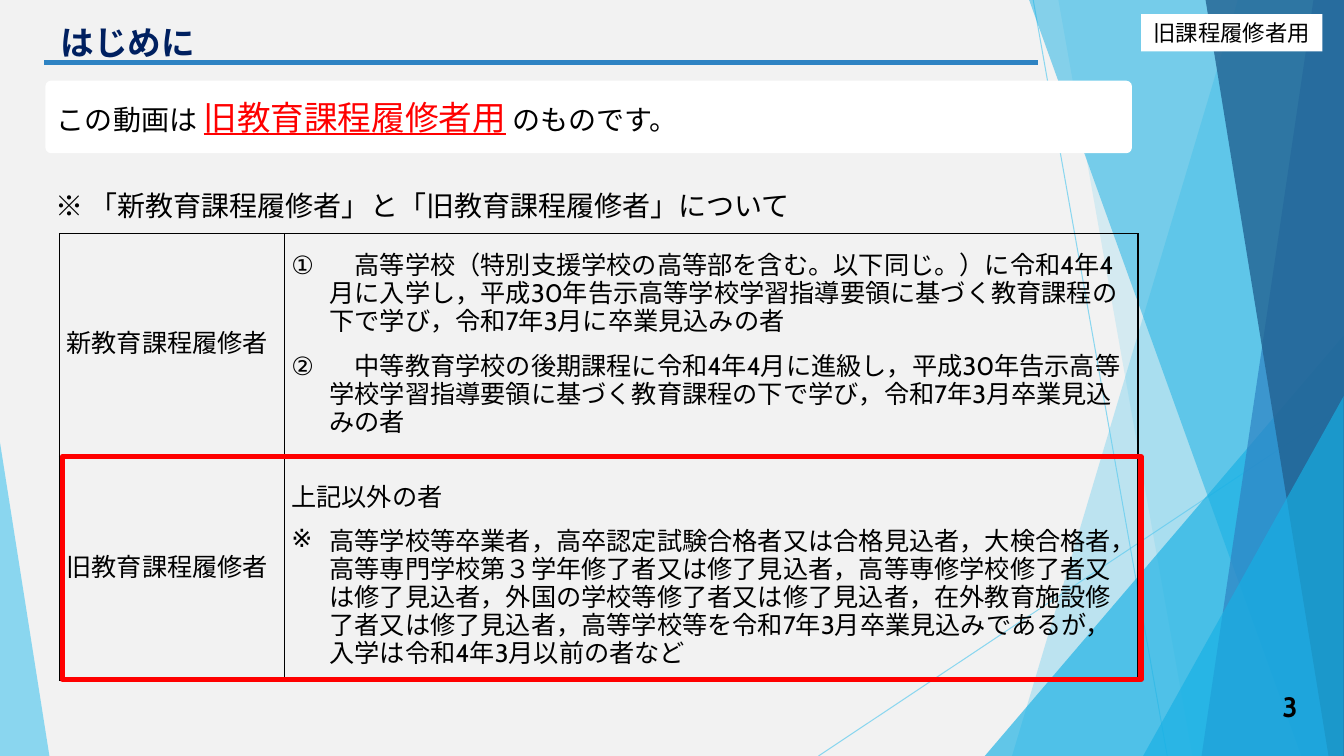
from lxml.etree import SubElement as Sub
from pptx import Presentation
from pptx.dml.color import RGBColor as RGB
from pptx.enum.lang import MSO_LANGUAGE_ID as Lang
from pptx.enum.shapes import MSO_CONNECTOR as Link, MSO_SHAPE as Kind
from pptx.enum.text import MSO_ANCHOR as Anchor, PP_ALIGN as Align
from pptx.oxml.ns import qn
from pptx.util import Inches, Pt

BLACK = RGB(0x00, 0x00, 0x00)
WHITE = RGB(0xFF, 0xFF, 0xFF)
RED = RGB(0xFF, 0x00, 0x00)
NAVY = RGB(0x00, 0x20, 0x60)
PALE = RGB(0xF2, 0xF2, 0xF2)
SKY = RGB(0x5F, 0xCB, 0xEF)
CYAN = RGB(0x17, 0xB0, 0xE4)
BLUE = RGB(0x2E, 0x83, 0xC3)
DEEP = RGB(0x22, 0x62, 0x92)

COLS, ROWS = 133.33, 75
FONT = "Cabin"

NEW = (
    "　高等学校（特別支援学校の高等部を含む。以下同じ。）に令和4年4月に入学し，"
    "平成30年告示高等学校学習指導要領に基づく教育課程の下で学び，令和7年3月に卒業見込みの者",
    "　中等教育学校の後期課程に令和4年4月に進級し，"
    "平成30年告示高等学校学習指導要領に基づく教育課程の下で学び，令和7年3月卒業見込みの者",
)
OLD = (
    "上記以外の者",
    "高等学校等卒業者，高卒認定試験合格者又は合格見込者，大検合格者，"
    "高等専門学校第３学年修了者又は修了見込者，高等専修学校修了者又は修了見込者，"
    "外国の学校等修了者又は修了見込者，在外教育施設修了者又は修了見込者，"
    "高等学校等を令和7年3月卒業見込みであるが，入学は令和4年3月以前の者など",
)


class Deck:
    """Draws on one slide, with lengths in columns and rows of a tenth of an inch."""

    def __init__(self):
        self.prs = Presentation()
        self.prs.slide_width = self.size(COLS)
        self.prs.slide_height = self.size(ROWS)
        self.slide = self.prs.slides.add_slide(self.prs.slide_layouts[5])
        self.shapes = self.slide.shapes
        fill = self.slide.background.fill
        fill.solid()
        fill.fore_color.rgb = PALE

    def size(self, cells):
        return Inches(cells / 10)

    def box(self, *cells):
        return [self.size(n) for n in cells]

    def fade(self, shape, share):
        tint = next(shape.element.iter(qn("a:srgbClr")))
        Sub(tint, qn("a:alpha"), val=str(share * 1000))

    def paint(self, shape, color, share=100):
        shape.shadow.inherit = False
        shape.line.fill.background()
        shape.fill.solid()
        shape.fill.fore_color.rgb = color
        if share < 100:
            self.fade(shape, share)
        return shape

    def style(self, run, size, color=BLACK, bold=False, under=False):
        font = run.font
        font.size, font.bold, font.underline = Pt(size), bold, under
        font.color.rgb = color
        font.name = FONT
        font.language_id = Lang.JAPANESE
        Sub(run._r.get_or_add_rPr(), qn("a:ea"), typeface=FONT)

    def put(self, frame, text, size, align=Align.LEFT, anchor=Anchor.MIDDLE, **look):
        frame.text = text
        frame.word_wrap = True
        frame.vertical_anchor = anchor
        for para in frame.paragraphs:
            para.alignment = align
            for run in para.runs:
                self.style(run, size, **look)

    def line(self, start, end, color, width, share=100):
        rule = self.shapes.add_connector(Link.STRAIGHT, *self.box(*start, *end))
        rule.line.color.rgb = color
        rule.line.width = Pt(width)
        Sub(rule.element.spPr, qn("a:effectLst"))
        if share < 100:
            self.fade(rule, share)

    def band(self, top, foot, color, share):
        pen = self.shapes.build_freeform(self.size(top), 0, 1.0)
        ends = (COLS, 0), (COLS, ROWS), (foot, ROWS)
        pen.add_line_segments([self.box(*end) for end in ends])
        self.paint(pen.convert_to_shape(), color, share)

    def wedge(self, left, top, wide, tip, color, share):
        cells = self.box(left, top, wide, ROWS - top)
        shape = self.shapes.add_shape(Kind.ISOSCELES_TRIANGLE, *cells)
        shape.adjustments[0] = tip
        self.paint(shape, color, share)

    def panel(self, kind, *cells):
        return self.paint(self.shapes.add_shape(kind, *self.box(*cells)), WHITE)

    def frame(self, *cells):
        shape = self.shapes.add_shape(Kind.RECTANGLE, *self.box(*cells))
        shape.shadow.inherit = False
        shape.fill.background()
        shape.line.color.rgb = RED
        shape.line.width = Pt(4)

    def title(self, text, *cells):
        shape = self.shapes.title
        shape.left, shape.top, shape.width, shape.height = self.box(*cells)
        self.put(shape.text_frame, text, 24, color=NAVY, bold=True)

    def label(self, text, *cells, **look):
        shape = self.shapes.add_textbox(*self.box(*cells))
        self.put(shape.text_frame, text, 20, **look)

    def edge(self, cell):
        props = cell._tc.get_or_add_tcPr()
        for spot, side in enumerate("LRTB"):
            rule = Sub(props, qn(f"a:ln{side}"), w=str(Pt(1)))
            Sub(Sub(rule, qn("a:solidFill")), qn("a:srgbClr"), val=str(BLACK))
            props.insert(spot, rule)

    def item(self, para, tag, **mark):
        props = para._p.get_or_add_pPr()
        props.set("marL", str(Inches(0.38)))
        props.set("indent", str(-Inches(0.38)))
        Sub(props, qn(f"a:{tag}"), **mark)
        para.line_spacing = Pt(20)

    def table(self, spot, cols, rows, texts):
        cells = self.box(*spot, sum(cols), sum(rows))
        grid = self.shapes.add_table(len(rows), len(cols), *cells).table
        grid.first_row = grid.horz_banding = False
        for col, wide in zip(grid.columns, cols):
            col.width = self.size(wide)
        for row, high, line in zip(grid.rows, rows, texts):
            row.height = self.size(high)
            for cell, text in zip(row.cells, line):
                cell.fill.background()
                self.edge(cell)
                cell.margin_left = cell.margin_right = Inches(0.07)
                cell.margin_top = cell.margin_bottom = 0
                self.put(cell.text_frame, text, 18)
                cell.vertical_anchor = Anchor.MIDDLE
            head = row.cells[0].text_frame.paragraphs[0]
            head.alignment = Align.JUSTIFY
            head.line_spacing = Pt(20)
        return grid


def scene(deck):
    """Draws the decoration on the slide's edges."""
    deck.line((102.5, 0), (115.8, ROWS), SKY, 0.75, 70)
    deck.line((COLS, 40.3), (81.2, ROWS), SKY, 0.75, 70)
    deck.band(122.8, 100.4, SKY, 36)
    deck.band(105, 118.3, SKY, 20)
    deck.wedge(97.7, 33.3, 35.6, 1, CYAN, 66)
    deck.band(102.1, 129.1, CYAN, 50)
    deck.band(130.3, 119.2, BLUE, 70)
    deck.band(119.6, 131.8, DEEP, 80)
    deck.wedge(113.4, 39.3, 19.9, 1, CYAN, 66)
    deck.wedge(0, 43.9, 4.9, 0, SKY, 70)
    deck.line((4.4, 6.2), (103, 6.2), BLUE, 3)


def main():
    """Builds the slide and saves it."""
    deck = Deck()
    scene(deck)
    tag = deck.panel(Kind.RECTANGLE, 113.2, 1.4, 18, 3.7)
    deck.put(tag.text_frame, "旧課程履修者用", 16, align=Align.CENTER)
    deck.title("はじめに", 5, 1.6, 94, 5.1)
    deck.label("3", 122.2, 68.1, 7.5, 4, align=Align.RIGHT, bold=True)

    lead = deck.panel(Kind.ROUNDED_RECTANGLE, 4.5, 8, 107.8, 7.2)
    lead.adjustments[0] = 0.08
    deck.put(lead.text_frame, "この動画は ", 20)
    para = lead.text_frame.paragraphs[0]
    for text, size, color, under in (
        ("旧教育課程履修者用", 24, RED, True),
        (" のものです。", 20, BLACK, False),
    ):
        run = para.add_run()
        run.text = text
        deck.style(run, size, color, under=under)

    grid = deck.table((5.9, 23.2), (22.3, 84.7), (22.1, 22.2), (
        ("新教育課程履修者", "\n".join(NEW)),
        ("旧教育課程履修者", "\n".join(OLD)),
    ))
    terms = grid.cell(0, 1).text_frame.paragraphs
    for para in terms:
        deck.item(para, "buAutoNum", type="circleNumDbPlain")
    terms[1].space_before = Pt(12)
    rest = grid.cell(1, 1)
    rest.margin_top = Pt(10)
    note = rest.text_frame.paragraphs[1]
    deck.item(note, "buChar", char="※")
    note.space_before = note.space_after = Pt(12)

    deck.label("※ 「新教育課程履修者」と「旧教育課程履修者」について",
               4.5, 18.2, 107, 4.4, anchor=Anchor.TOP)
    deck.frame(6.2, 45.3, 107, 22.1)
    deck.prs.save("out.pptx")


if __name__ == "__main__":
    main()
